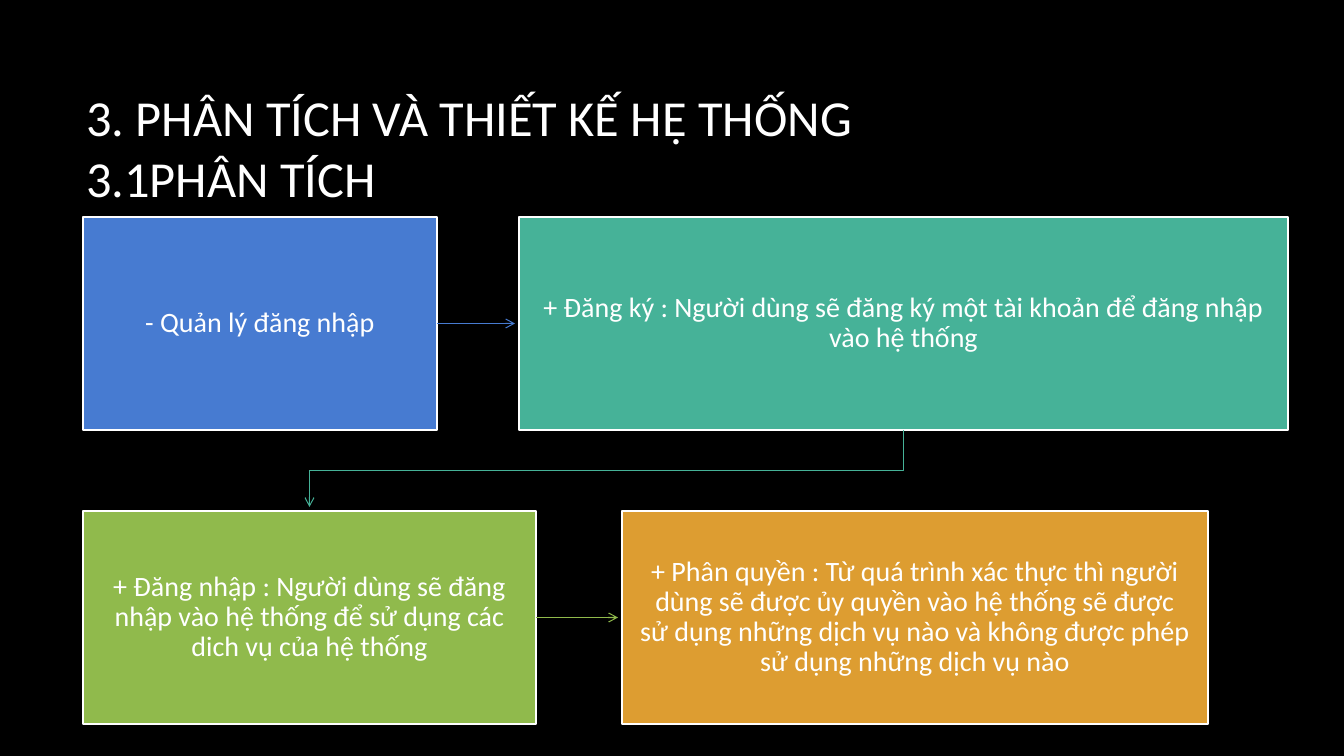
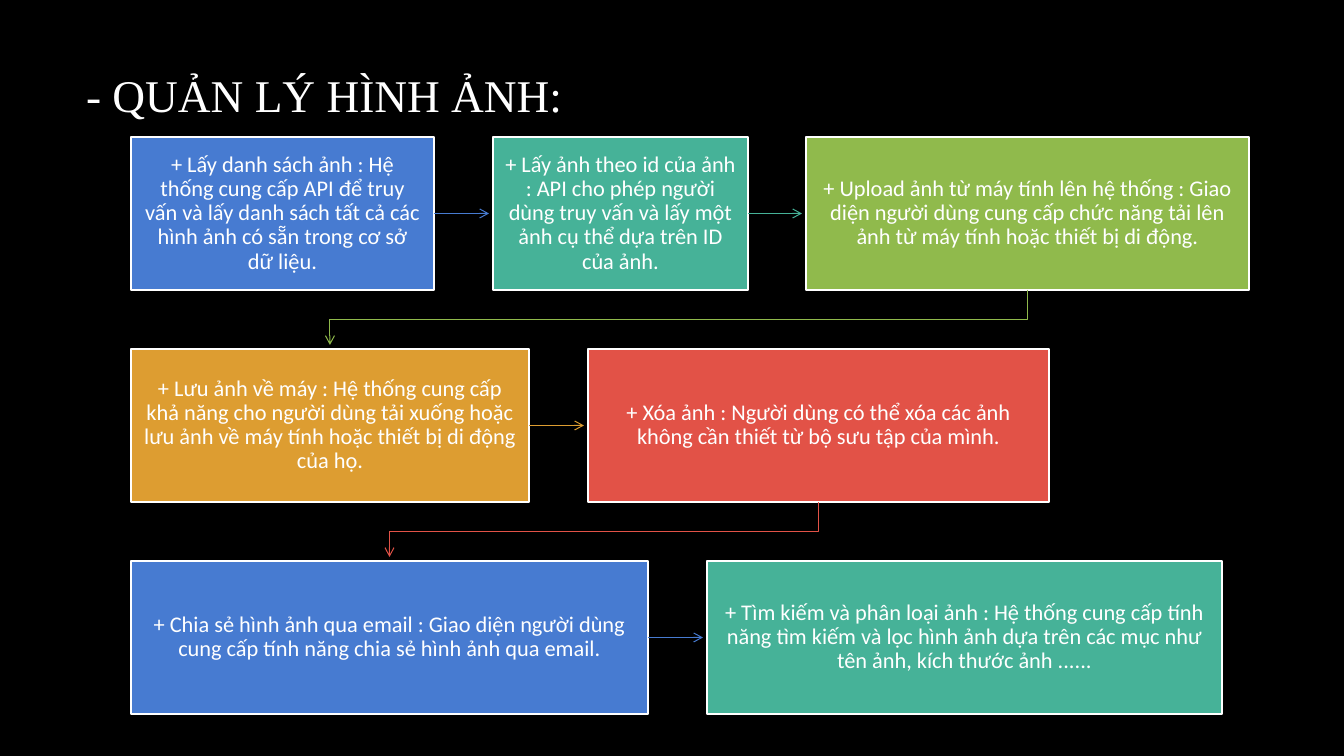
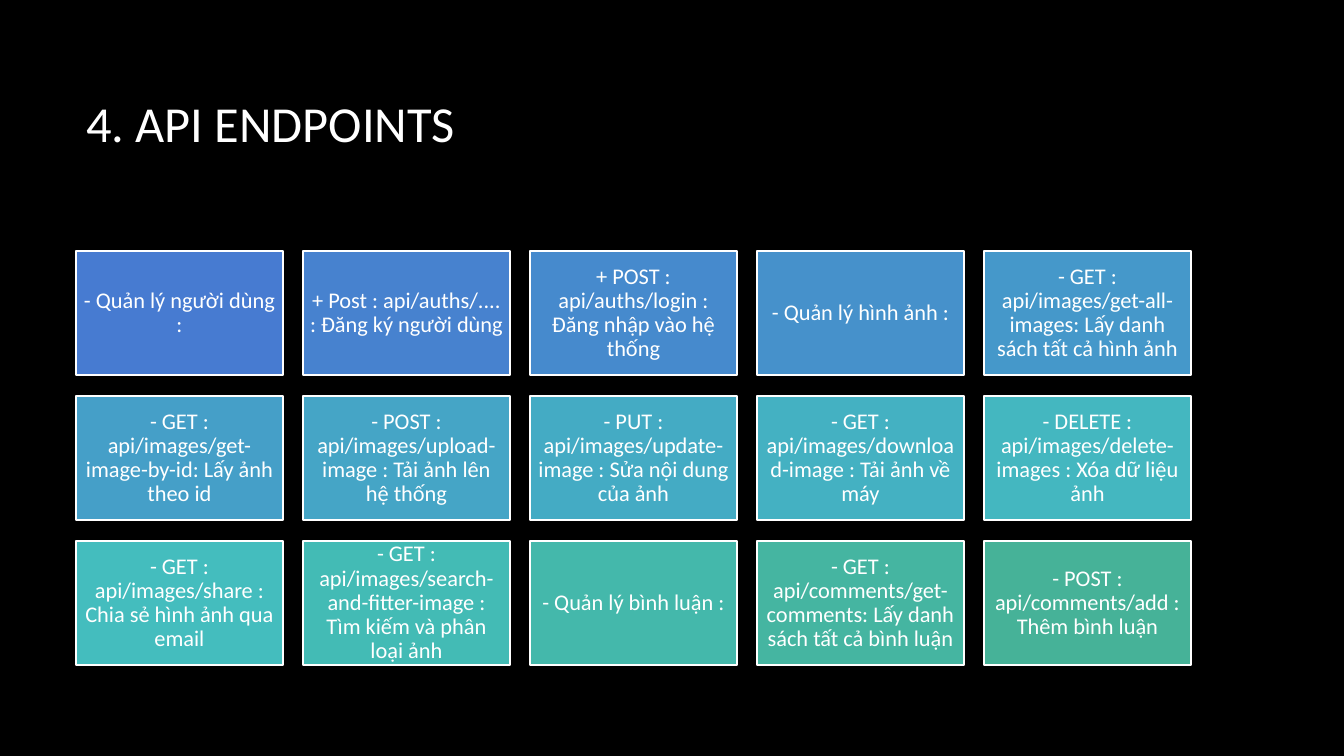
import colorsys

import pptx
import pptx.dml.color
import pptx.enum.shapes
import pptx.enum.text
import pptx.oxml.ns
import pptx.util
from lxml import etree

RGBColor = pptx.dml.color.RGBColor
BLACK = RGBColor(0x00, 0x00, 0x00)
WHITE = RGBColor(0xFF, 0xFF, 0xFF)
BLUE = RGBColor(0x47, 0x7B, 0xD1)
TEAL = RGBColor(0x46, 0xB2, 0x98)
GREEN = RGBColor(0x90, 0xBA, 0x4C)
ORANGE = RGBColor(0xDD, 0x9D, 0x31)
RED = RGBColor(0xE2, 0x52, 0x47)
ACCENTS = (BLUE, TEAL, GREEN, ORANGE, RED)

PX = 914400 / 100.8
ARROW_GAP = 4

LOGIN_ROWS = [
    [
        (83, 354, "- Quản lý đăng nhập"),
        (519, 769, "+ Đăng ký : Người dùng sẽ đăng ký một tài khoản để đăng nhập vào hệ thống"),
    ],
    [
        (83, 453, "+ Đăng nhập : Người dùng sẽ đăng nhập vào hệ thống để sử dụng các dich vụ của hệ thống"),
        (622, 586, "+ Phân quyền : Từ quá trình xác thực thì người dùng sẽ được ủy quyền vào hệ thống "
                   "sẽ được sử dụng những dịch vụ nào và không được phép sử dụng những dịch vụ nào"),
    ],
]

IMAGE_ROWS = [
    [
        (131, 303, "+ Lấy danh sách ảnh : Hệ thống cung cấp API để truy vấn và lấy danh sách "
                   "tất cả các hình ảnh có sẵn trong cơ sở dữ liệu."),
        (493, 255, "+ Lấy ảnh theo id của ảnh : API cho phép người dùng truy vấn và lấy một "
                   "ảnh cụ thể dựa trên ID của ảnh."),
        (806, 443, "+ Upload ảnh từ máy tính lên hệ thống : Giao diện người dùng cung cấp "
                   "chức năng tải lên ảnh từ máy tính hoặc thiết bị di động."),
    ],
    [
        (131, 398, "+ Lưu ảnh về máy : Hệ thống cung cấp khả năng cho người dùng tải xuống "
                   "hoặc lưu ảnh về máy tính hoặc thiết bị di động của họ."),
        (588, 461, "+ Xóa ảnh : Người dùng có thể xóa các ảnh không cần thiết từ bộ sưu tập của mình."),
    ],
    [
        (131, 517, "+ Chia sẻ hình ảnh qua email : Giao diện người dùng cung cấp tính năng "
                   "chia sẻ hình ảnh qua email."),
        (707, 515, "+ Tìm kiếm và phân loại ảnh : Hệ thống cung cấp tính năng tìm kiếm và lọc "
                   "hình ảnh dựa trên các mục như tên ảnh, kích thước ảnh ......"),
    ],
]

ENDPOINTS = [
    "- Quản lý người dùng :",
    "+ Post : api/auths/.... : Đăng ký người dùng",
    "+ POST : api/auths/login : Đăng nhập vào hệ thống",
    "- Quản lý hình ảnh :",
    "- GET : api/images/get-all-images: Lấy danh sách tất cả hình ảnh",
    "- GET : api/images/get-image-by-id: Lấy ảnh theo id",
    "- POST : api/images/upload-image : Tải ảnh lên hệ thống",
    "- PUT : api/images/update-image : Sửa nội dung của ảnh",
    "- GET : api/images/download-image : Tải ảnh về máy",
    "- DELETE : api/images/delete-images : Xóa dữ liệu ảnh",
    "- GET : api/images/share : Chia sẻ hình ảnh qua email",
    "- GET : api/images/search-and-fitter-image : Tìm kiếm và phân loại ảnh",
    "- Quản lý bình luận :",
    "- GET : api/comments/get-comments: Lấy danh sách tất cả bình luận",
    "- POST : api/comments/add : Thêm bình luận",
]


def px(length):
    return pptx.util.Emu(round(length * PX))


def blend(start, end, share):
    first, last = (colorsys.rgb_to_hls(*(part / 255 for part in color)) for color in (start, end))
    mixed = (low + (high - low) * share for low, high in zip(first, last))
    return RGBColor(*(round(part * 255) for part in colorsys.hls_to_rgb(*mixed)))


class Deck:
    """Holds the shared style and the current slide."""

    def __init__(self):
        self.deck = pptx.Presentation()
        self.deck.slide_width = px(1344)
        self.deck.slide_height = px(756)
        background = self.deck.slide_master.background.fill
        background.solid()
        background.fore_color.rgb = BLACK
        self.page = None

    def set_text(self, frame, text, size, font, align):
        frame.text = text
        for para in frame.paragraphs:
            para.alignment = align
            para.font.size = pptx.util.Pt(size)
            para.font.name = font
            para.font.color.rgb = WHITE

    def slide(self, title, height, size=36, font="Calibri", anchor=pptx.enum.text.MSO_ANCHOR.MIDDLE):
        self.page = self.deck.slides.add_slide(self.deck.slide_layouts[5])
        box = self.page.shapes.title
        box.left, box.top, box.width, box.height = px(76), px(67), px(1117), px(height)
        frame = box.text_frame
        frame.auto_size = pptx.enum.text.MSO_AUTO_SIZE.NONE
        frame.vertical_anchor = anchor
        if anchor == pptx.enum.text.MSO_ANCHOR.TOP:
            frame.margin_top = 0
        self.set_text(frame, title, size, font, pptx.enum.text.PP_ALIGN.LEFT)

    def card(self, left, top, width, height, text, color, size, margin):
        box = self.page.shapes.add_shape(
            pptx.enum.shapes.MSO_SHAPE.RECTANGLE, px(left), px(top), px(width), px(height))
        box.shadow.inherit = False
        box.fill.solid()
        box.fill.fore_color.rgb = color
        box.line.color.rgb = WHITE
        box.line.width = pptx.util.Pt(1.5)
        frame = box.text_frame
        frame.word_wrap = True
        frame.vertical_anchor = pptx.enum.text.MSO_ANCHOR.MIDDLE
        frame.margin_left = frame.margin_right = px(margin)
        frame.margin_top = frame.margin_bottom = px(margin)
        self.set_text(frame, text, size, "Calibri", pptx.enum.text.PP_ALIGN.CENTER)
        frame.paragraphs[0].line_spacing = 0.9
        return box

    def arrow_style(self, shape, color):
        shape.line.color.rgb = color
        shape.line.width = pptx.util.Pt(0.75)
        properties = shape._element.spPr
        outline = properties.find(pptx.oxml.ns.qn("a:ln"))
        etree.SubElement(outline, pptx.oxml.ns.qn("a:tailEnd"), type="arrow")
        etree.SubElement(properties, pptx.oxml.ns.qn("a:effectLst"))

    def straight_arrow(self, source, target, color):
        middle = source.top + source.height // 2
        arrow = self.page.shapes.add_connector(
            pptx.enum.shapes.MSO_CONNECTOR.STRAIGHT,
            source.left + source.width, middle, target.left - px(ARROW_GAP), middle)
        arrow.begin_connect(source, 3)
        self.arrow_style(arrow, color)

    def elbow_arrow(self, source, target, color):
        start = source.left + source.width // 2
        end = target.left + target.width // 2
        bottom = source.top + source.height
        middle = (bottom + target.top) // 2
        outline = self.page.shapes.build_freeform(start, bottom)
        outline.add_line_segments(
            [(start, middle), (end, middle), (end, target.top - px(ARROW_GAP))], close=False)
        arrow = outline.convert_to_shape()
        arrow.fill.background()
        self.arrow_style(arrow, color)

    def flow(self, rows, top, pitch, height, size, margin):
        previous = None
        count = 0
        for row_number, row in enumerate(rows):
            for column, (left, width, text) in enumerate(row):
                color = ACCENTS[count % len(ACCENTS)]
                box = self.card(left, top + row_number * pitch, width, height, text, color, size, margin)
                if previous is not None:
                    draw = self.straight_arrow if column else self.elbow_arrow
                    draw(previous, box, ACCENTS[(count - 1) % len(ACCENTS)])
                previous = box
                count += 1

    def grid(self, texts, columns):
        for index, text in enumerate(texts):
            row, column = divmod(index, columns)
            color = blend(BLUE, TEAL, index / (len(texts) - 1))
            self.card(76 + column * 227, 251 + row * 145, 207, 124, text, color, 16, 7)


def main():
    deck = Deck()
    deck.slide("3. PHÂN TÍCH VÀ THIẾT KẾ HẸ THỐNG\v3.1PHÂN TÍCH", 160)
    deck.flow(LOGIN_ROWS, top=217, pitch=294, height=213, size=20, margin=17)

    deck.slide("- QUẢN LÝ HÌNH ẢNH:", 90, 32.4, "Times New Roman", pptx.enum.text.MSO_ANCHOR.TOP)
    deck.flow(IMAGE_ROWS, top=137, pitch=212, height=153, size=16, margin=12)

    deck.slide("4. API ENDPOINTS", 111)
    deck.grid(ENDPOINTS, columns=5)
    deck.deck.save("out.pptx")


if __name__ == "__main__":
    main()
